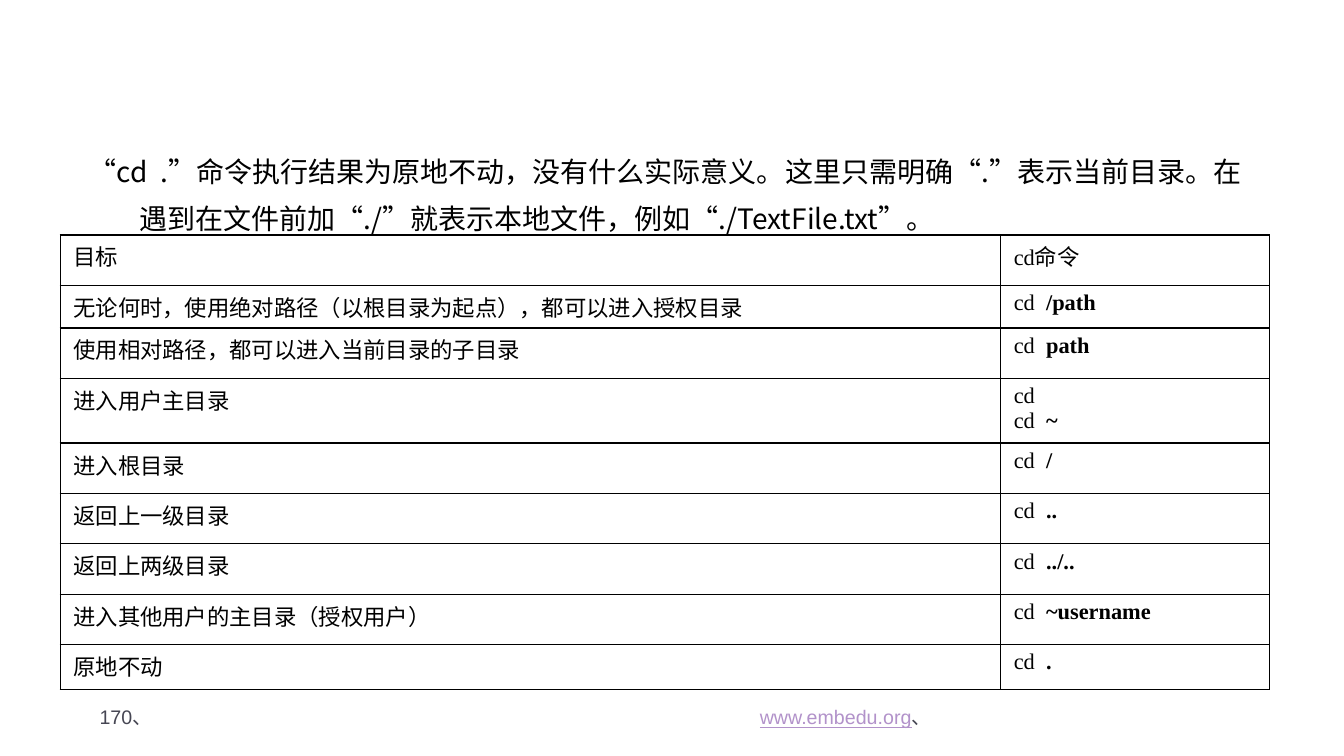
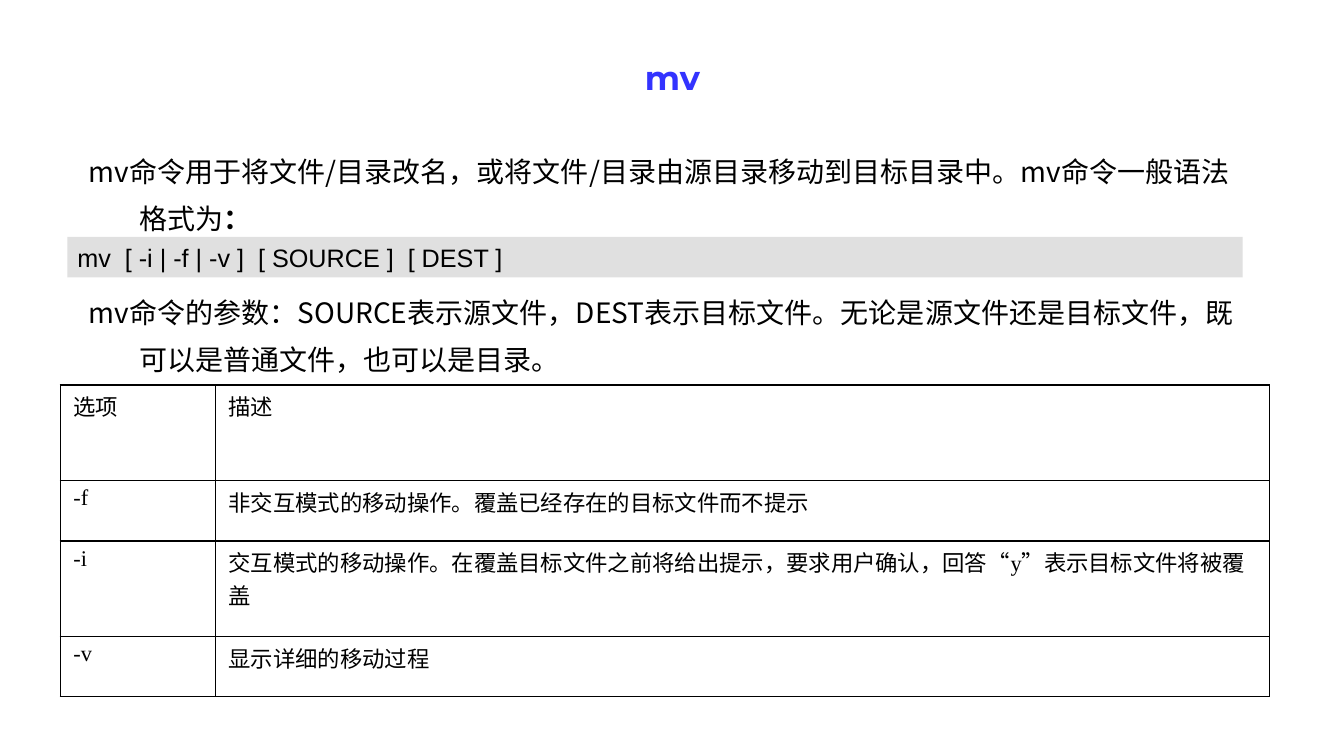
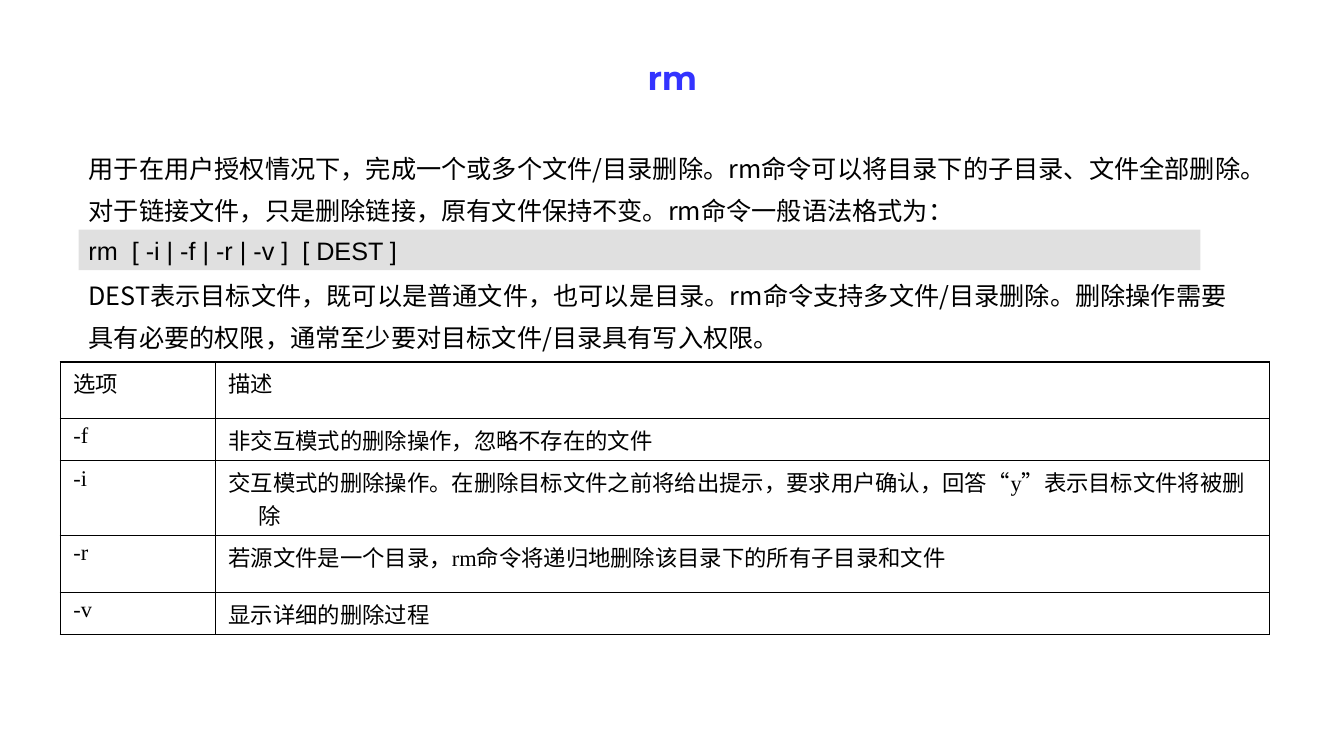
from dataclasses import dataclass

from lxml.etree import SubElement
from pptx import Presentation
from pptx.dml.color import RGBColor as RGB
from pptx.enum.shapes import MSO_SHAPE as Preset
from pptx.enum.text import MSO_ANCHOR as Anchor, MSO_AUTO_SIZE as AutoSize, PP_ALIGN as Align
from pptx.oxml.ns import qn
from pptx.util import Cm, Pt


@dataclass(frozen=True)
class Theme:
    ink: str = "000000"
    accent: str = "3333FF"
    band: str = "E0E0E0"
    muted: str = "464653"
    address: str = "B292CA"
    cjk: str = "Noto Sans CJK SC"
    heading: str = "Montserrat"
    sans: str = "Arial"
    serif: str = "Times New Roman"
    title_size: int = 24
    lead_size: int = 20
    body_size: int = 18
    cell_size: int = 16
    footer_size: int = 14
    line_pitch: float = 1.68


THEME = Theme()


def write(frame, paragraphs, *, font, size, color=THEME.ink, bold=False, underline=False,
          align=Align.LEFT, hanging=0, pitch=None, gap=0):
    base = dict(color=color, bold=bold, underline=underline)
    frame.word_wrap = True
    for index, content in enumerate(paragraphs):
        paragraph = frame.add_paragraph() if index else frame.paragraphs[0]
        paragraph.alignment = align
        paragraph.space_before = Pt(gap if index else 0)
        if pitch:
            paragraph.line_spacing = Pt(pitch)
        properties = paragraph._p.get_or_add_pPr()
        properties.set("marL", str(Cm(hanging)))
        properties.set("indent", str(-Cm(hanging)))
        SubElement(properties, qn("a:buNone"))
        for words, changes in [(content, {})] if isinstance(content, str) else content:
            look = base | changes
            run = paragraph.add_run()
            run.text = words
            run.font.name, run.font.size = font, Pt(size)
            run.font.bold, run.font.underline = look["bold"], look["underline"]
            run.font.color.rgb = RGB.from_string(look["color"])
            SubElement(run._r.get_or_add_rPr(), qn("a:ea"), typeface=THEME.cjk)


class Deck:
    """Builds command-reference slides in one shared style."""

    def __init__(self, theme):
        self.theme = theme
        self.show = Presentation()
        self.show.slide_width, self.show.slide_height = Cm(33.87), Cm(19.05)
        self.slide = None

    def new_slide(self, title=None):
        self.slide = self.show.slides.add_slide(self.show.slide_layouts[1])
        heading = self.slide.shapes.title
        if title is None:
            heading._element.getparent().remove(heading._element)
            return
        self.place(heading, 2.11, 1.3, 29.67, 1.17)
        heading.text_frame.auto_size = AutoSize.NONE
        heading.text_frame.vertical_anchor = Anchor.TOP
        write(heading.text_frame, [title], font=self.theme.heading, size=self.theme.title_size,
              color=self.theme.accent, bold=True, align=Align.CENTER)

    def place(self, shape, left, top, width, height):
        shape.left, shape.top, shape.width, shape.height = map(Cm, (left, top, width, height))

    def body(self, paragraphs, size, hanging=0):
        outline = self.slide.placeholders[1]
        self.place(outline, 1.98, 3.43, 29.79, 12.45)
        outline.text_frame.auto_size = AutoSize.NONE
        pitch = round(size * self.theme.line_pitch, 1)
        write(outline.text_frame, paragraphs, font=self.theme.cjk, size=size,
              hanging=hanging, pitch=pitch, gap=pitch)

    def syntax(self, command, left, top, width):
        band = self.slide.shapes.add_shape(Preset.RECTANGLE, Cm(left), Cm(top), Cm(width), Cm(1.02))
        band.shadow.inherit = False
        band.fill.solid()
        band.fill.fore_color.rgb = RGB.from_string(self.theme.band)
        band.line.fill.background()
        band.text_frame.vertical_anchor = Anchor.MIDDLE
        write(band.text_frame, [command], font=self.theme.sans, size=self.theme.body_size)

    def footer(self, content, left, width, align=Align.LEFT):
        note = self.slide.shapes.add_textbox(Cm(left), Cm(17.65), Cm(width), Cm(1.02))
        write(note.text_frame, [content], font=self.theme.sans, size=self.theme.footer_size,
              color=self.theme.muted, align=align)

    def table(self, rows, top, widths, heights, hanging=0):
        grid = self.slide.shapes.add_table(len(rows), len(widths), Cm(1.52), Cm(top),
                                           Cm(sum(widths)), Cm(sum(heights))).table
        grid.first_row = grid.horz_banding = False
        for column, width in zip(grid.columns, widths):
            column.width = Cm(width)
        for line, height, contents in zip(grid.rows, heights, rows):
            line.height = Cm(height)
            for cell, content in zip(line.cells, contents):
                self.frame_cell(cell)
                write(cell.text_frame, [content] if isinstance(content, str) else content,
                      font=self.theme.serif, size=self.theme.cell_size, hanging=hanging)

    def frame_cell(self, cell):
        cell.margin_left = cell.margin_right = Cm(0.33)
        cell.margin_top = cell.margin_bottom = Cm(0.13)
        properties = cell._tc.get_or_add_tcPr()
        for side in ("lnL", "lnR", "lnT", "lnB"):
            edge = SubElement(properties, qn(f"a:{side}"), w=str(Pt(1)))
            SubElement(SubElement(edge, qn("a:solidFill")), qn("a:srgbClr"), val=self.theme.ink)
        cell.fill.background()


def cd(target):
    return [("cd  ", {}), (target, {"bold": True})]


def cd_slide(deck):
    deck.new_slide()
    deck.body(["“cd  .”命令执行结果为原地不动，没有什么实际意义。这里只需明确“.”表示当前目录。"
               "在遇到在文件前加“./”就表示本地文件，例如“./TextFile.txt”。"],
              THEME.lead_size, hanging=1.27)
    deck.table([
        ("目标", "cd命令"),
        ("无论何时，使用绝对路径（以根目录为起点），都可以进入授权目录", [cd("/path")]),
        ("使用相对路径，都可以进入当前目录的子目录", [cd("path")]),
        ("进入用户主目录", ["cd", cd("~")]),
        ("进入根目录", [cd("/")]),
        ("返回上一级目录", [cd("..")]),
        ("返回上两级目录", [cd("../..")]),
        ("进入其他用户的主目录（授权用户）", [cd("~username")]),
        ("原地不动", [cd(".")]),
    ], 5.92, (23.7, 6.78), (1.27, 1.07, 1.27, 1.63, 1.27, 1.27, 1.27, 1.27, 1.14), hanging=0.76)
    deck.footer("170、", 2.26, 7.34)
    deck.footer([("www.embedu.org", {"color": THEME.address, "underline": True}), ("、", {})],
                10.74, 12.98, Align.RIGHT)


OPTION_WIDTHS = (3.91, 26.57)
OPTION_HEADER = ("选项", "描述")


def mv_slide(deck):
    deck.new_slide("mv")
    deck.body([
        [("mv命令用于将文件/目录改名，或将文件/目录由源目录移动到目标目录中。mv命令一般语法格式为", {}),
         ("：", {"bold": True})],
        "mv命令的参数：SOURCE表示源文件，DEST表示目标文件。无论是源文件还是目标文件，既可以是普通文件，也可以是目录。",
    ], THEME.lead_size, hanging=1.27)
    deck.syntax("mv  [ -i | -f | -v ]  [ SOURCE ]  [ DEST ]", 1.7, 5.97, 29.62)
    deck.table([
        OPTION_HEADER,
        ("-f", "非交互模式的移动操作。覆盖已经存在的目标文件而不提示"),
        ("-i", "交互模式的移动操作。在覆盖目标文件之前将给出提示，要求用户确认，回答“y”表示目标文件将被覆盖"),
        ("-v", "显示详细的移动过程"),
    ], 9.7, OPTION_WIDTHS, (2.41, 1.52, 2.41, 1.52))


def rm_slide(deck):
    deck.new_slide("rm")
    deck.body([
        "用于在用户授权情况下，完成一个或多个文件/目录删除。rm命令可以将目录下的子目录、文件全部删除。"
        "对于链接文件，只是删除链接，原有文件保持不变。rm命令一般语法格式为：",
        "DEST表示目标文件，既可以是普通文件，也可以是目录。rm命令支持多文件/目录删除。"
        "删除操作需要具有必要的权限，通常至少要对目标文件/目录具有写入权限。",
    ], THEME.body_size)
    deck.table([
        OPTION_HEADER,
        ("-f", "非交互模式的删除操作，忽略不存在的文件"),
        ("-i", "交互模式的删除操作。在删除目标文件之前将给出提示，要求用户确认，回答“y”表示目标文件将被删除"),
        ("-r", "若源文件是一个目录，rm命令将递归地删除该目录下的所有子目录和文件"),
        ("-v", "显示详细的删除过程"),
    ], 9.12, OPTION_WIDTHS, (1.42, 0.94, 1.8, 1.42, 0.94), hanging=0.76)
    deck.syntax("rm  [ -i | -f | -r | -v ]  [ DEST ]", 1.98, 5.79, 28.27)


def main():
    deck = Deck(THEME)
    for build in (cd_slide, mv_slide, rm_slide):
        build(deck)
    deck.show.save("out.pptx")


if __name__ == "__main__":
    main()
